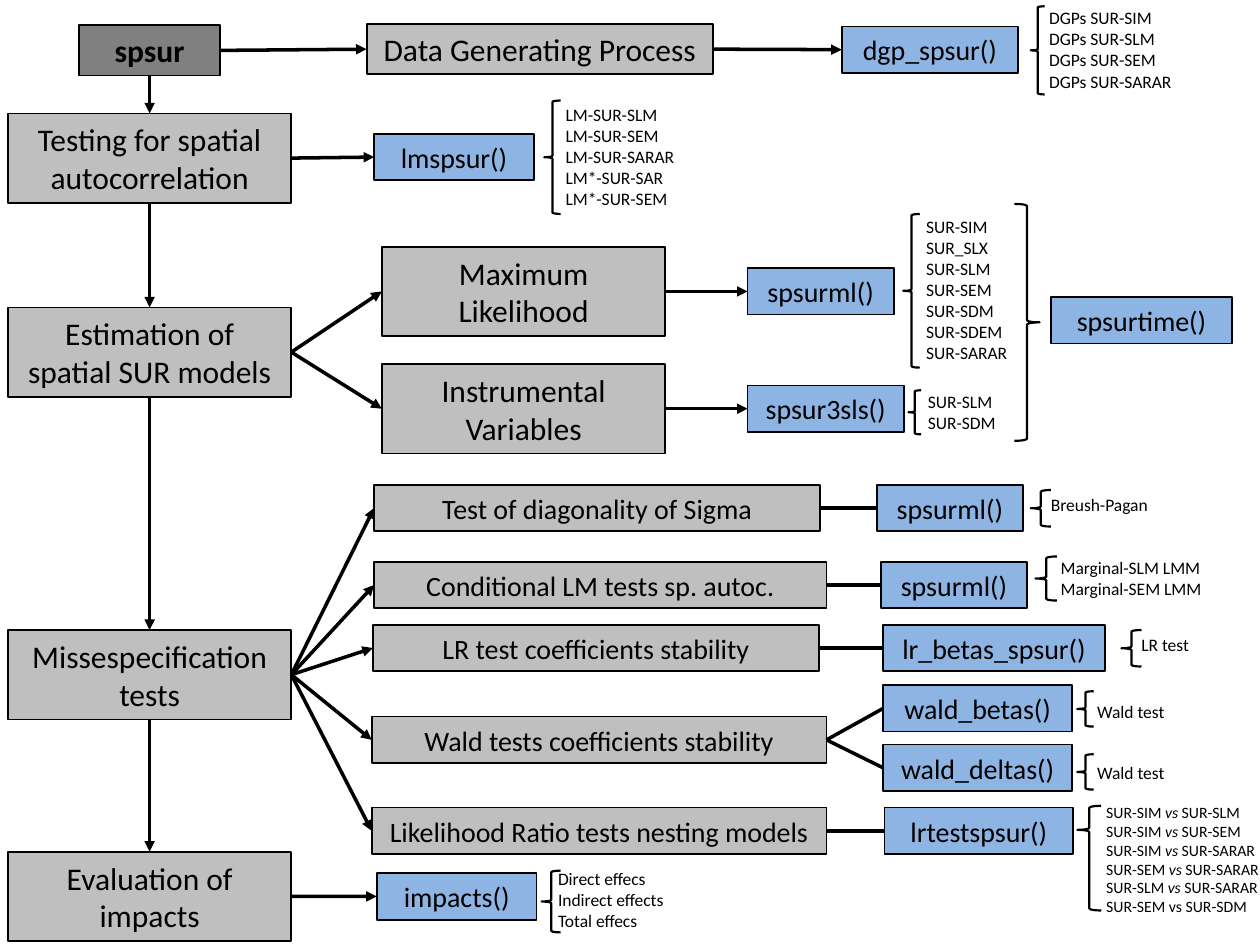
from dataclasses import dataclass

from lxml import etree
from pptx import Presentation
from pptx.dml.color import RGBColor
from pptx.enum import shapes, text
from pptx.oxml import ns
from pptx.util import Pt

TOP, LEFT, BOTTOM, RIGHT = range(4)  # connection sites of a rectangle


@dataclass(frozen=True)
class Theme:
    """Colours, type sizes and line widths of the chart."""
    font: str = "Calibri"
    ink: str = "000000"
    root: str = "808080"
    step: str = "BFBFBF"
    func: str = "8EB4E3"
    big: float = 18
    mid: float = 16
    small: float = 10
    tiny: float = 9
    edge: float = 1
    brace: float = 1.25
    arrow: float = 2


T = Theme()


def rgb(value):
    """Turn a hex string into a colour."""
    return RGBColor.from_string(value)


def place(box, x, y, w, h):
    """Lengths of a part whose position is relative to box."""
    return Pt(box[0] + x), Pt(box[1] + y), Pt(w), Pt(h)


def write(p, words, size, bold=False, italic=False):
    """Add one formatted run to a paragraph."""
    r = p.add_run()
    r.text = words
    r.font.name, r.font.size = T.font, Pt(size)
    r.font.bold, r.font.italic = bold, italic
    r.font.color.rgb = rgb(T.ink)


def node(s, box, at, words, fill=T.func, size=T.mid, bold=False):
    """Draw a labelled rectangle and return it."""
    sp = s.shapes.add_shape(shapes.MSO_SHAPE.RECTANGLE, *place(box, *at))
    sp.shadow.inherit = False
    sp.fill.solid()
    sp.fill.fore_color.rgb = rgb(fill)
    sp.line.color.rgb, sp.line.width = rgb(T.ink), Pt(T.edge)
    tf = sp.text_frame
    tf.word_wrap = True
    tf.vertical_anchor = text.MSO_ANCHOR.MIDDLE
    p = tf.paragraphs[0]
    p.alignment = text.PP_ALIGN.CENTER
    write(p, words, size, bold)
    return sp


def brace(parent, box, at, kind=shapes.MSO_SHAPE.LEFT_BRACE, tip=0.5):
    """Draw a curly brace with its point at the given share of its height."""
    sp = parent.shapes.add_shape(kind, *place(box, *at))
    sp.shadow.inherit = False
    sp.fill.background()
    sp.line.color.rgb, sp.line.width = rgb(T.ink), Pt(T.brace)
    sp.adjustments[1] = tip


def note(s, box, brace_at, list_at, lines, size=T.small, tip=0.5):
    """Group a brace with its list; words between bars are italic."""
    group = s.shapes.add_group_shape()
    brace(group, box, brace_at, tip=tip)
    x, y, w = list_at
    height = 7.2 + 1.22 * size * len(lines)
    sp = group.shapes.add_textbox(*place(box, x, y, w, height))
    tf = sp.text_frame
    tf.word_wrap = True
    for i, line in enumerate(lines):
        p = tf.add_paragraph() if i else tf.paragraphs[0]
        for j, words in enumerate(line.split("|")):
            write(p, words, size, italic=j % 2 == 1)


def link(s, a, site_a, b, site_b, arrow=True):
    """Connect two nodes, with an arrowhead at the second if wanted."""
    c = s.shapes.add_connector(shapes.MSO_CONNECTOR.STRAIGHT, 0, 0, 0, 0)
    c.begin_connect(a, site_a)
    c.end_connect(b, site_b)
    c.line.color.rgb, c.line.width = rgb(T.ink), Pt(T.arrow)
    if arrow:
        etree.SubElement(c.line._get_or_add_ln(), ns.qn("a:tailEnd"), type="triangle")
    etree.SubElement(c._element.spPr, ns.qn("a:effectLst"))


def spine(s, box):
    """Left column: the package and its four stages, top to bottom."""
    root = node(s, box, (40.7, 0, 80.6, 28.8), "spsur", T.root, T.big, True)
    stages = [(50.4, "Testing for spatial autocorrelation"),
              (161.3, "Estimation of spatial\u00a0SUR models"),
              (345.6, "Missespecification tests"),
              (472.3, "Evaluation of impacts")]
    column = [root] + [node(s, box, (0, y, 162, 51.1), words, T.step, T.big)
                       for y, words in stages]
    for a, b in zip(column, column[1:]):
        link(s, a, BOTTOM, b, TOP)
    return column


def generation(s, box, root):
    """Data generating process and its function."""
    step = node(s, box, (0, 13.7, 198, 28.8), "Data Generating Process", T.step, T.big)
    func = node(s, box, (271.5, 15.1, 100.8, 26.6), "dgp_spsur()")
    note(s, box, (379.5, 3.6, 8, 50.4), (383, 0.7, 86.4),
         ["DGPs SUR-" + m for m in ("SIM", "SLM", "SEM", "SARAR")])
    link(s, root, RIGHT, step, LEFT)
    link(s, step, RIGHT, func, LEFT)


def single(s, box, stage, words, brace_at, list_at, lines):
    """A stage served by one function with a list of results."""
    func = node(s, box, (0, 0, 91.4, 26.6), words)
    note(s, box, brace_at, list_at, lines)
    link(s, stage, RIGHT, func, LEFT)


def estimation(s, box, stage):
    """Two estimation methods, their functions and models."""
    methods = [(25, "Maximum Likelihood", "spsurml()", 83.5),
               (92, "Instrumental Variables", "spsur3sls()", 89.3)]
    for y, method, words, width in methods:
        step = node(s, box, (0, y, 162, 51.1), method, T.step, T.big)
        func = node(s, box, (209, y + 12.25, width, 26.6), words)
        link(s, stage, RIGHT, step, LEFT)
        link(s, step, RIGHT, func, LEFT)
    note(s, box, (298, 6.3, 9.4, 87.8), (304, 4, 62),
         ["SUR-SIM", "SUR_SLX", "SUR-SLM", "SUR-SEM", "SUR-SDM", "SUR-SDEM", "SUR-SARAR"])
    note(s, box, (301, 107, 7.2, 25.2), (305, 104, 62), ["SUR-SLM", "SUR-SDM"])
    brace(s, box, (361.5, 0.5, 14.4, 135.4), shapes.MSO_SHAPE.RIGHT_BRACE)
    node(s, box, (382.3, 53.8, 103.7, 26.6), "spsurtime()")


def misspecification(s, box, stage):
    """Five tests, each joined to one or two functions."""
    tests = [
        (1.4, 0, 254.9, "Test of diagonality of Sigma", [(288.7, 0, 83.5, "spsurml()")]),
        (1.4, 44, 258.5, "Conditional LM tests sp. autoc.", [(291, 44, 83.5, "spsurml()")]),
        (0.7, 80, 254.9, "LR test coefficients stability",
         [(292.3, 80, 126.7, "lr_betas_spsur()")]),
        (0, 132.5, 259.9, "Wald tests coefficients stability",
         [(292.3, 114.5, 108, "wald_betas()"), (292.3, 148.5, 108, "wald_deltas()")]),
        (0, 184.5, 259.9, "Likelihood Ratio tests nesting models",
         [(293, 184.5, 108, "lrtestspsur()")]),
    ]
    for x, y, w, words, funcs in tests:
        step = node(s, box, (x, y, w, 26.6), words, T.step)
        link(s, stage, RIGHT, step, LEFT)
        for fx, fy, fw, name in funcs:
            func = node(s, box, (fx, fy, fw, 26.6), name)
            link(s, step, RIGHT, func, LEFT, arrow=False)
    note(s, box, (376.6, 3, 11.5, 20.9), (381, 1.5, 82), ["Breush-Pagan"])
    note(s, box, (379.4, 41, 12.2, 25.2), (386.6, 37.5, 106),
         ["Marginal-SLM LMM", "Marginal-SEM LMM"])
    note(s, box, (428.4, 83, 11.5, 20.9), (432.7, 82, 74), ["LR test"])
    for brace_y, list_y in ((118, 120.2), (154, 155)):
        note(s, box, (403.2, brace_y, 9.4, 20.2), (407.5, list_y, 80.6), ["Wald test"])
    pairs = [("SIM", "SLM"), ("SIM", "SEM"), ("SIM", "SARAR"), ("SEM", "SARAR"),
             ("SLM", "SARAR")]
    note(s, box, (403.2, 183.5, 13.7, 59.8), (412.6, 178, 101.5),
         [f"SUR-{a} |vs| SUR-{b}" for a, b in pairs] + ["SUR-SEM vs SUR-SDM"],
         T.tiny, tip=0.23)


def main():
    """Build the flow chart slide."""
    prs = Presentation()
    prs.slide_width, prs.slide_height = Pt(720), Pt(540)
    s = prs.slides.add_slide(prs.slide_layouts[6])
    root, testing, models, tests, impacts = spine(s, (4.5, 14.4))
    generation(s, (209.5, 0), root)
    single(s, (213.8, 76.5), testing, "lmspsur()", (97.2, -19, 9.4, 64.8), (102.3, -20.5, 86.4),
           ["LM-SUR-SLM", "LM-SUR-SEM", "LM-SUR-SARAR", "LM*-SUR-SAR", "LM*-SUR-SEM"])
    estimation(s, (218.2, 116), models)
    misspecification(s, (212.4, 277), tests)
    single(s, (215.3, 499), impacts, "impacts()", (94.3, -1.5, 10.8, 35.3), (96.5, -6.5, 96.5),
           ["Direct effecs", "Indirect effects", "Total effecs"])
    prs.save("out.pptx")


main()
